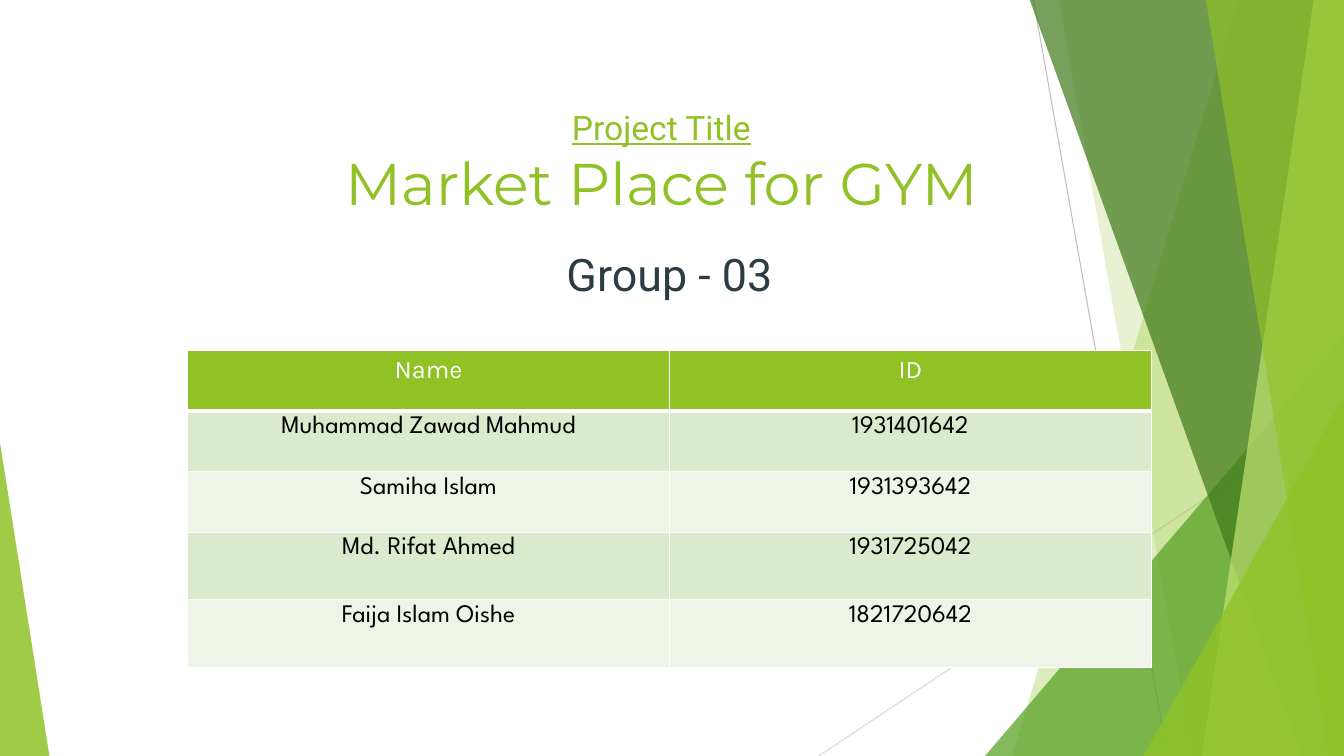
import pptx
import pptx.util
import pptx.dml.color
import pptx.enum.shapes
import pptx.enum.text
import pptx.oxml
import pptx.oxml.ns
import lxml.etree

Inches, Pt = pptx.util.Inches, pptx.util.Pt
SHAPE = pptx.enum.shapes.MSO_SHAPE

# Content
COLORS = {"lime": "90C226", "green": "54A021", "forest": "3F7819", "pale": "C0E474",
          "slate": "2C3C43", "black": "000000", "white": "FFFFFF",
          "band_dark": "DBE9CD", "band_light": "EEF4E8",
          "line_dark": "BFBFBF", "line_light": "D9D9D9"}
TITLE = [("Project Title", dict(size=24, font="Roboto", color="lime", underline=True)),
         ("Market Place for GYM", dict(size=42, font="Montserrat", color="lime"))]
GROUP = [("Group - 03", dict(size=32, font="Roboto", color="slate"))]
MEMBERS = [("Name", "ID"),
           ("Muhammad Zawad Mahmud", "1931401642"),
           ("Samiha Islam", "1931393642"),
           ("Md. Rifat Ahmed", "1931725042"),
           ("Faija Islam Oishe", "1821720642")]
ROW_HEIGHTS = [0.6, 0.6, 0.6, 0.67, 0.67]
COL_WIDTH = 4.78

# Background: start, end, color
LINES = [((10.25, 0), (11.58, 7.5), "line_dark"),
         ((13.33, 4.03), (8.12, 7.5), "line_light")]
W, H, TOP = 13.33, 7.5, -0.01
# Right-hand bands: top-left x, bottom-left x, color, opacity %
# Triangles: left, top, width, height, apex, color, opacity %
FACETS = [("band", (12.28, 10.04), "lime", 30),
          ("band", (10.5, 11.83), "lime", 20),
          ("triangle", (9.77, 3.33, 3.56, 4.17, 1), "green", 72),
          ("band", (10.21, 12.91), "forest", 70),
          ("band", (13.03, 11.92), "pale", 70),
          ("band", (11.96, 13.18), "lime", 65),
          ("triangle", (11.34, 3.93, 1.99, 3.57, 1), "lime", 80),
          ("triangle", (0, 4.39, 0.49, 3.11, 0), "lime", 85)]


def rgb(name):
    return pptx.dml.color.RGBColor.from_string(COLORS[name])


def write(p, text, size=18, font="Roboto", color="black", underline=False):
    p.alignment = pptx.enum.text.PP_ALIGN.CENTER
    r = p.add_run()
    r.text = text
    r.font.size, r.font.name, r.font.underline = Pt(size), font, underline
    r.font.color.rgb = rgb(color)


def text_box(left, top, width, height, lines):
    tf = s.shapes.add_textbox(*map(Inches, (left, top, width, height))).text_frame
    tf.word_wrap = True
    for i, (text, style) in enumerate(lines):
        write(tf.add_paragraph() if i else tf.paragraphs[0], text, **style)


def add_facet(kind, place, color, opacity):
    if kind == "band":
        x_top, x_bottom = place
        fb = s.shapes.build_freeform(Inches(x_top), Inches(TOP))
        corners = [(W, TOP), (W, H), (x_bottom, H)]
        fb.add_line_segments([(Inches(x), Inches(y)) for x, y in corners], close=True)
        sp = fb.convert_to_shape()
    else:
        sp = s.shapes.add_shape(SHAPE.ISOSCELES_TRIANGLE, *map(Inches, place[:4]))
        sp.adjustments[0] = place[4]
    sp.shadow.inherit = False
    sp.line.fill.background()
    sp.fill.solid()
    sp.fill.fore_color.rgb = rgb(color)
    clr = sp.fill._xPr.find(".//" + pptx.oxml.ns.qn("a:srgbClr"))
    lxml.etree.SubElement(clr, pptx.oxml.ns.qn("a:alpha"), val=str(opacity * 1000))


def set_borders(cell, bottom):
    tcPr = cell._tc.get_or_add_tcPr()
    widths = {"lnL": 1, "lnR": 1, "lnT": 1, "lnB": bottom}
    for i, (side, width) in enumerate(widths.items()):
        tcPr.insert(i, pptx.oxml.parse_xml(
            f'<a:{side} {pptx.oxml.ns.nsdecls("a")} w="{Pt(width)}"><a:solidFill>'
            f'<a:srgbClr val="{COLORS["white"]}"/></a:solidFill></a:{side}>'))


prs = pptx.Presentation()
prs.slide_width, prs.slide_height = Inches(W), Inches(H)
s = prs.slides.add_slide(prs.slide_layouts[6])

# Background lines and facets
for start, end, color in LINES:
    line = s.shapes.add_connector(pptx.enum.shapes.MSO_CONNECTOR.STRAIGHT,
                                  *map(Inches, start + end))
    line.line.color.rgb, line.line.width = rgb(color), Pt(0.75)
    lxml.etree.SubElement(line._element.spPr, pptx.oxml.ns.qn("a:effectLst"))
for facet in FACETS:
    add_facet(*facet)

# Member table
table = s.shapes.add_table(len(MEMBERS), 2, Inches(1.86), Inches(3.48),
                           Inches(2 * COL_WIDTH), Inches(sum(ROW_HEIGHTS))).table
for col in table.columns:
    col.width = Inches(COL_WIDTH)
for i, (member, height) in enumerate(zip(MEMBERS, ROW_HEIGHTS)):
    table.rows[i].height = Inches(height)
    header = i == 0
    fill = "lime" if header else ("band_light", "band_dark")[i % 2]
    font, color = ("Karla", "white") if header else ("League Spartan", "black")
    for j, text in enumerate(member):
        cell = table.cell(i, j)
        cell.fill.solid()
        cell.fill.fore_color.rgb = rgb(fill)
        set_borders(cell, 3 if header else 1)
        write(cell.text_frame.paragraphs[0], text, font=font, color=color)

# Title and group
text_box(2.23, 1.01, 8.66, 1.39, TITLE)
text_box(2.39, 2.4, 8.5, 0.91, GROUP)

prs.save("out.pptx")
